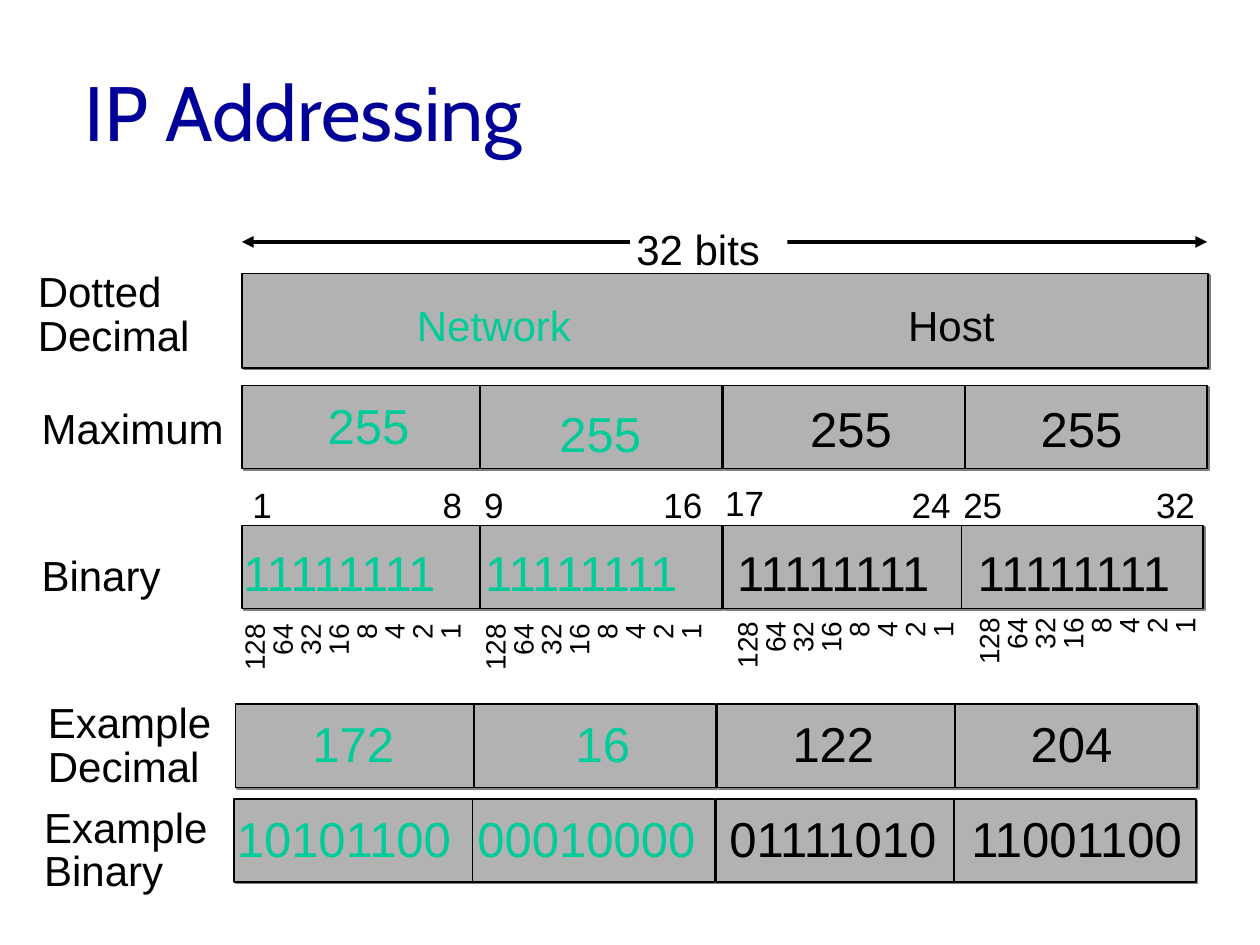
from lxml import etree
from pptx import Presentation
from pptx import util as u
from pptx.dml import color
from pptx.enum import shapes, text
from pptx.oxml import ns

COLORS = {"title": "000099", "network": "00CC99", "host": "000000",
          "cell": "B2B2B2", "shadow": "808080", "paper": "FFFFFF"}
OCTET_COLORS = ("network", "network", "host", "host")
ALIGN, ANCHOR = text.PP_ALIGN, text.MSO_ANCHOR


class AddressPage:
    """Style and current slide of the IP addressing diagram."""

    def __init__(self, page, font="Arial"):
        self.page = page
        self.font = font

    def rgb(self, name):
        return color.RGBColor.from_string(COLORS[name])

    def child(self, parent, tag, **attributes):
        return etree.SubElement(parent, ns.qn(tag), attributes)

    def box(self, left, top, width, height, fill="cell", framed=True):
        box = self.page.shapes.add_shape(
            shapes.MSO_SHAPE.RECTANGLE, *map(u.Inches, (left, top, width, height)))
        box.shadow.inherit = False
        box.fill.solid()
        box.fill.fore_color.rgb = self.rgb(fill)
        if not framed:
            box.line.fill.background()
            return
        box.line.color.rgb = self.rgb("host")
        box.line.width = u.Pt(1)
        effects = box.element.spPr.find(ns.qn("a:effectLst"))
        shadow = self.child(effects, "a:outerShdw", dist=str(u.Pt(1.4)),
                            dir="2700000", algn="ctr", rotWithShape="0")
        self.child(shadow, "a:srgbClr", val=COLORS["shadow"])

    def arrow(self, left, right, top):
        arrow = self.page.shapes.add_connector(
            shapes.MSO_CONNECTOR.STRAIGHT, *map(u.Inches, (left, top, right, top)))
        arrow.line.color.rgb = self.rgb("host")
        arrow.line.width = u.Pt(2.25)
        line = arrow.line._get_or_add_ln()
        for end in ("a:headEnd", "a:tailEnd"):
            self.child(line, end, type="triangle")
        self.child(arrow.element.spPr, "a:effectLst")

    def label(self, words, left, top, width, height, size=24, ink="host",
              spacing=None, inset=(0.05, 0.08), align=ALIGN.LEFT,
              anchor=ANCHOR.TOP, font=None, rotation=0):
        box = self.page.shapes.add_textbox(
            *map(u.Inches, (left, top, width, height)))
        box.rotation = rotation
        frame = box.text_frame
        frame.word_wrap = True
        frame.vertical_anchor = anchor
        frame.margin_left, frame.margin_top = map(u.Inches, inset)
        frame.margin_right = u.Inches(min(inset[0], 0.1))
        frame.margin_bottom = u.Inches(inset[1])
        para = frame.paragraphs[0]
        para.text = words
        para.alignment = align
        if spacing:
            para.line_spacing = u.Pt(spacing)
        for span in para.runs:
            span.font.size = u.Pt(size)
            span.font.name = font or self.font
            span.font.color.rgb = self.rgb(ink)

    def octets(self, left, top, values, text_lefts, text_tops, last_offset=5.71):
        for offset in (0, 1.89, 3.82, last_offset):
            self.box(left + offset, top, 1.92, 0.66)
        for value, x, y, ink in zip(values, text_lefts, text_tops, OCTET_COLORS):
            self.label(value, x, y, 0.3 + 0.23 * len(value), 0.83, 28, ink,
                       48.4, (0.21, 0.04))


def main():
    deck = Presentation()
    deck.slide_width, deck.slide_height = u.Inches(10), u.Inches(7.5)
    diagram = AddressPage(deck.slides.add_slide(deck.slide_layouts[6]))

    diagram.label("IP Addressing", 0.58, 0.25, 8.5, 1.25, 44, "title",
                  inset=(0.09, 0.04), anchor=ANCHOR.MIDDLE, font="Cabin")
    diagram.arrow(1.92, 9.58, 1.92)
    diagram.box(5, 1.67, 1.25, 0.42, "paper", framed=False)
    diagram.label("32 bits", 5, 1.42, 1.25, 0.83, spacing=48.4)

    diagram.box(1.92, 2.17, 7.67, 0.75)
    for words, left, ink in (("Network", 3.17, "network"), ("Host", 6.8, "host")):
        diagram.label(words, left, 2.33, 1.5, 0.5, ink=ink, inset=(0.1, 0.05),
                      align=ALIGN.CENTER, anchor=ANCHOR.MIDDLE)

    full = ["11111111"] * 4
    example = ["10101100", "00010000", "01111010", "11001100"]
    for row in (
        (1.92, 3.06, ["255"] * 4, (2.39, 4.23, 6.22, 8.05),
         (2.89, 2.96, 2.92, 2.92), 5.74),
        (1.92, 4.17, full, (1.72, 3.64, 5.64, 7.55), [4.06] * 4),
        (1.87, 5.59, ["172", "16", "122", "204"], (2.27, 4.36, 6.08, 7.97), [5.42] * 4),
        (1.86, 6.34, example, (1.67, 3.58, 5.58, 7.5), [6.17] * 4),
    ):
        diagram.octets(*row)

    for words, left, top in (("Dotted\nDecimal", 0.25, 2.08),
                             ("Maximum", 0.28, 3.17),
                             ("Binary", 0.28, 4.33),
                             ("Example\nDecimal", 0.33, 5.5),
                             ("Example\nBinary", 0.3, 6.33)):
        diagram.label(words, left, top, 1.58, 0.85, spacing=25)

    bit_lefts = (1.91, 3.42, 3.75, 5.25, 5.74, 7.22, 7.63, 9.16)
    for bit, left in zip((1, 8, 9, 16, 17, 24, 25, 32), bit_lefts):
        diagram.label(str(bit), left, 3.75 if bit == 17 else 3.77, 0.34, 0.48, 20,
                      spacing=23.6, inset=(0, 0), align=ALIGN.CENTER,
                      anchor=ANCHOR.MIDDLE)

    weights = "\n".join(str(2 ** power) for power in reversed(range(8)))
    for left, top in ((2.53, 4.22), (4.44, 4.22), (6.44, 4.2), (8.36, 4.17)):
        diagram.label(weights, left, top, 0.53, 1.9, 16, spacing=16,
                      align=ALIGN.RIGHT, rotation=270)

    deck.save("out.pptx")


if __name__ == "__main__":
    main()
